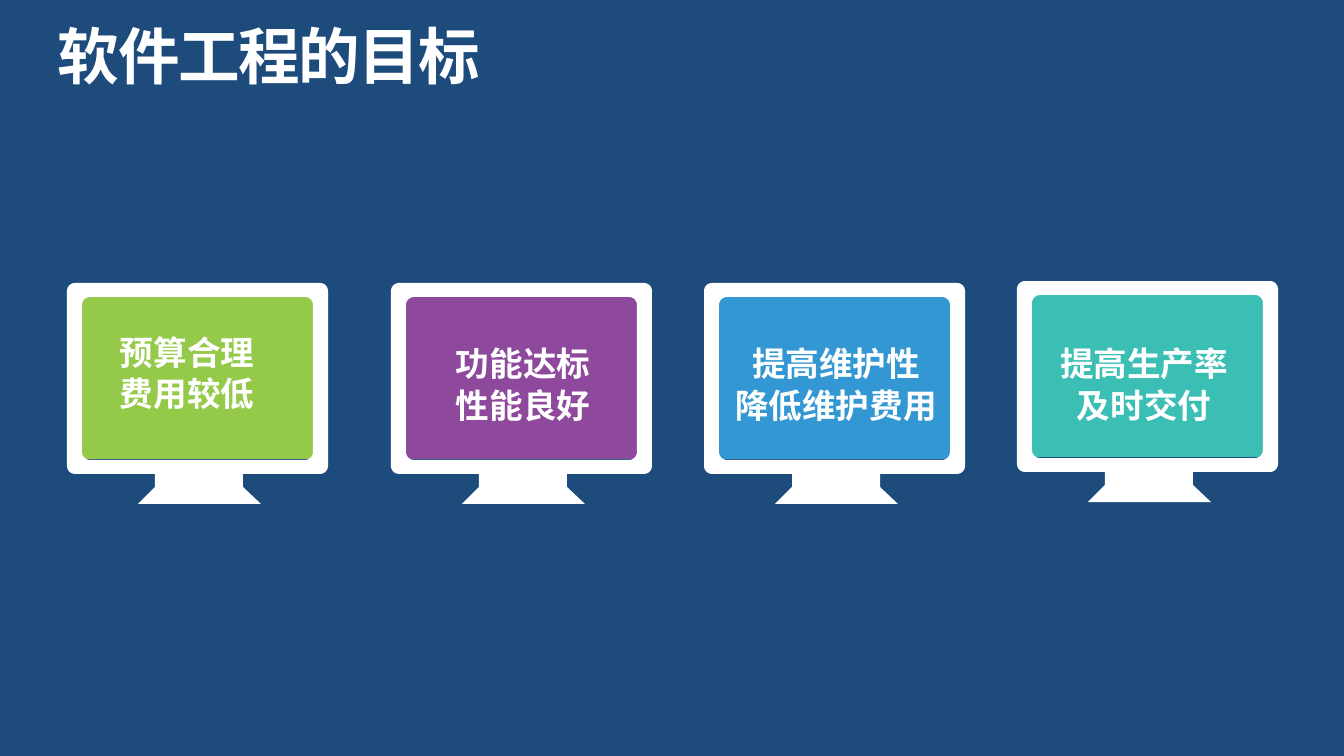
from dataclasses import dataclass
from math import cos, radians, sin

from lxml.etree import SubElement
from pptx import Presentation
from pptx.dml.color import RGBColor
from pptx.enum.shapes import MSO_SHAPE
from pptx.enum.text import MSO_ANCHOR, PP_ALIGN
from pptx.oxml.ns import qn
from pptx.util import Emu, Pt

EMU_PER_PX = 914400 / 134.4
FONT = "Noto Sans CJK SC"
WHITE = "FFFFFF"
CORNER = 8


@dataclass
class Monitor:
    left: int
    top: int
    screen: str
    label_center: int
    label_top: int
    lines: tuple[str, ...]


MONITORS = [
    Monitor(67, 283, "94C949", 187, 325, ("预算合理", "费用较低")),
    Monitor(391, 283, "8E499C", 523, 336, ("功能达标", "性能良好")),
    Monitor(704, 283, "3397D3", 836, 336, ("提高维护性", "降低维护费用")),
    Monitor(1017, 281, "3BBEB4", 1144, 336, ("提高生产率", "及时交付")),
]


def px(value: float) -> Emu:
    return Emu(round(value * EMU_PER_PX))


def color(code: str) -> RGBColor:
    return RGBColor.from_string(code)


def paint(shape, code: str) -> None:
    shape.shadow.inherit = False
    shape.fill.solid()
    shape.fill.fore_color.rgb = color(code)
    shape.line.fill.background()


def add_span(para, text: str, size: int):
    span = para.add_run()
    span.text = text
    span.font.size = Pt(size)
    span.font.bold = True
    span.font.color.rgb = color(WHITE)
    span.font.name = FONT
    properties = span.font._element
    SubElement(properties, qn("a:ea")).set("typeface", FONT)
    return properties


def corner(x: int, y: int, start: int) -> list[tuple[float, float]]:
    """Quarter circle around (x, y), clockwise from the start angle."""
    angles = [radians(start + step) for step in range(0, 91, 15)]
    return [(x + CORNER * cos(a), y + CORNER * sin(a)) for a in angles]


def rounded(left: int, top: int, right: int, bottom: int):
    """Corner arcs in the order bottom right, bottom left, top left, top right."""
    near_x, far_x = left + CORNER, right - CORNER
    near_y, far_y = top + CORNER, bottom - CORNER
    return [corner(far_x, far_y, 0), corner(near_x, far_y, 90),
            corner(near_x, near_y, 180), corner(far_x, near_y, 270)]


def draw_frame(page, left: int, top: int) -> None:
    # Outer edge with the stand between the two bottom corners
    stand = [(176, 191), (176, 204), (194, 221), (71, 221), (88, 204), (88, 191)]
    arcs = rounded(0, 0, 261, 191)
    outer = arcs[0] + stand + sum(arcs[1:], [])
    # Opening for the screen, drawn the other way round
    opening = sum(rounded(15, 14, 246, 177), [])[::-1]

    contours = [[(px(left + x), px(top + y)) for x, y in points]
                for points in (outer, opening)]
    builder = page.shapes.build_freeform(*contours[0][0])
    builder.add_line_segments(contours[0][1:])
    builder.move_to(*contours[1][0])
    builder.add_line_segments(contours[1][1:])
    paint(builder.convert_to_shape(), WHITE)


def draw_monitor(page, monitor: Monitor) -> None:
    screen = page.shapes.add_shape(
        MSO_SHAPE.RECTANGLE, px(monitor.left + 8), px(monitor.top + 11), px(245), px(165))
    paint(screen, monitor.screen)
    draw_frame(page, monitor.left, monitor.top)


def draw_label(page, monitor: Monitor) -> None:
    width = 34 * max(map(len, monitor.lines)) + 27
    box = page.shapes.add_textbox(
        px(monitor.label_center - width / 2), px(monitor.label_top), px(width), px(95))
    frame = box.text_frame
    frame.word_wrap = False
    for index, line in enumerate(monitor.lines):
        para = frame.add_paragraph() if index else frame.paragraphs[0]
        para.alignment = PP_ALIGN.CENTER
        para.line_spacing = Pt(22)
        add_span(para, line, 18)


def draw_title(page, text: str) -> None:
    box = page.shapes.add_textbox(px(58), px(26), px(1230), px(67))
    frame = box.text_frame
    frame.word_wrap = True
    frame.vertical_anchor = MSO_ANCHOR.MIDDLE
    frame.margin_left = frame.margin_right = frame.margin_top = frame.margin_bottom = 0
    para = frame.paragraphs[0]
    para.line_spacing = 0.9
    add_span(para, text, 33).set("spc", "-80")


def main() -> None:
    deck = Presentation()
    deck.slide_width, deck.slide_height = px(1344), px(756)
    page = deck.slides.add_slide(deck.slide_layouts[6])
    page.background.fill.solid()
    page.background.fill.fore_color.rgb = color("1D4C7C")

    draw_title(page, "软件工程的目标")
    for monitor in MONITORS:
        draw_monitor(page, monitor)
    for monitor in MONITORS:
        draw_label(page, monitor)
    deck.save("out.pptx")


if __name__ == "__main__":
    main()
